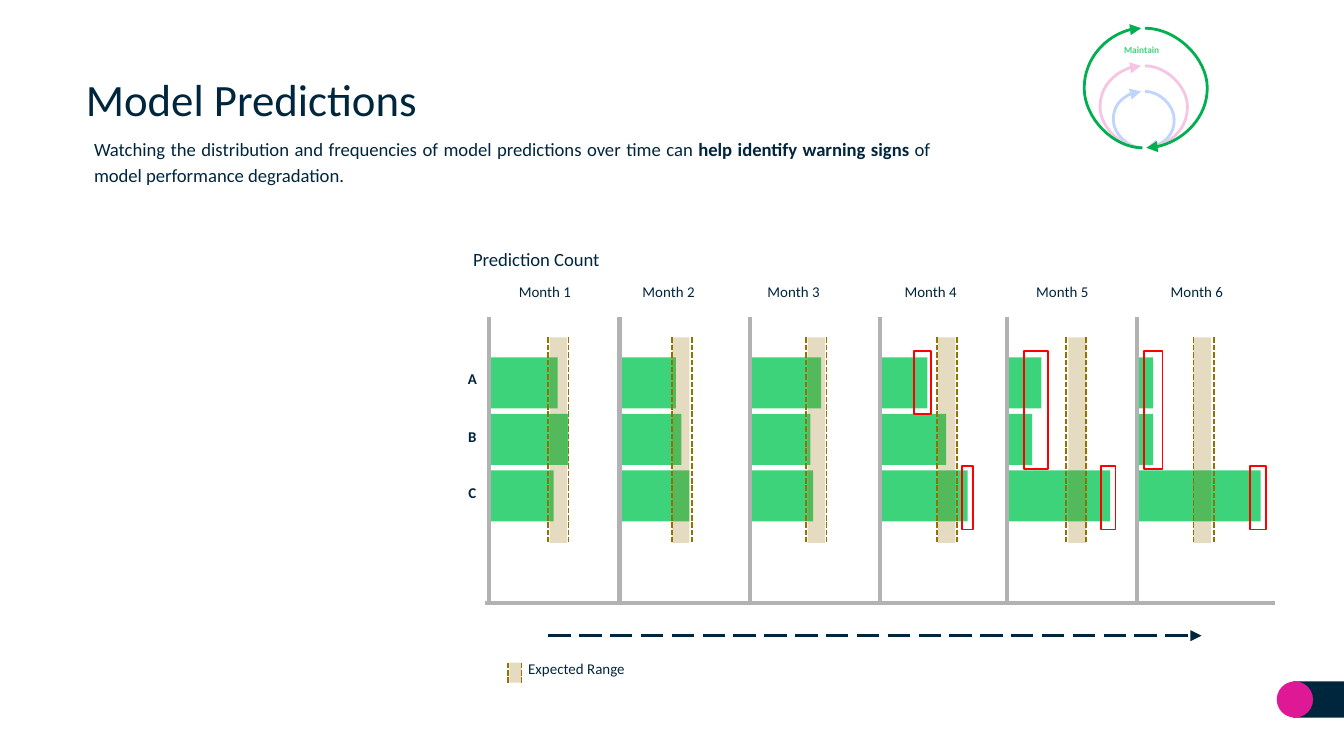
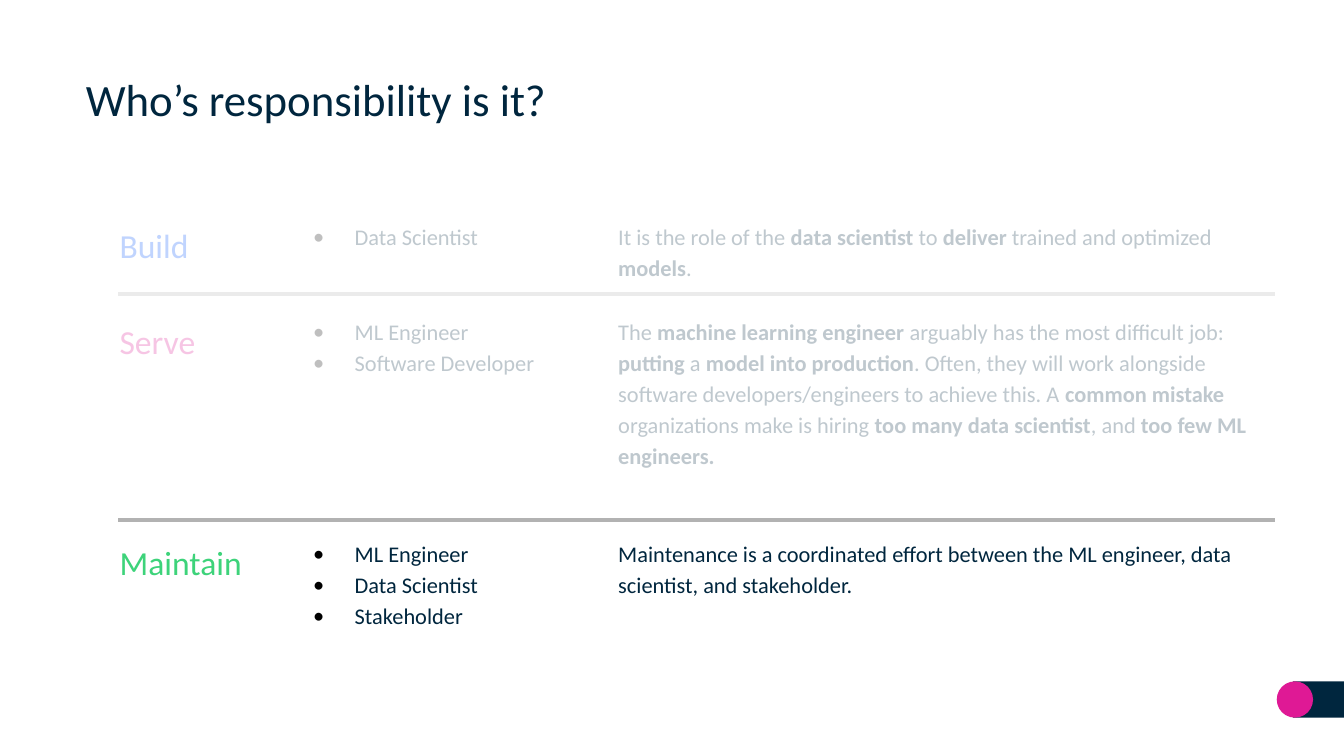
from typing import NamedTuple

from lxml.etree import SubElement as Sub
from pptx import Presentation
from pptx.dml.color import RGBColor as Rgb
from pptx.enum.dml import MSO_LINE as Dash
from pptx.enum.shapes import MSO_CONNECTOR as Link, MSO_SHAPE as Form
from pptx.enum.text import MSO_ANCHOR as Anchor, MSO_AUTO_SIZE as Fit, PP_ALIGN as Align
from pptx.oxml.ns import qn
from pptx.util import Pt

PX = 9144
WIDE = 1000 * PX
HIGH = WIDE * 9 // 16
FONT = "Calibri"
INK = {
    "navy": "00263E", "pink": "DF1995", "blue": "0654FE", "green": "3DD37A",
    "leaf": "00B050", "gray": "B2B2B2", "gold": "957104", "red": "FF0000",
    "white": "FFFFFF", "black": "000000",
}


class Box(NamedTuple):
    left: int
    top: int
    wide: int
    high: int


class Month(NamedTuple):
    axis: int
    start: int
    label: int
    low: int
    band: int
    bars: tuple[int, int, int]


class Loop(NamedTuple):
    top: int
    left: int
    right: int
    color: str


class Role(NamedTuple):
    top: int
    name: str
    color: str
    who: str
    what: str
    highs: tuple[int, int]


MONTHS = [
    Month(364, 365, 385, 408, 409, (50, 58, 47)),
    Month(461, 462, 477, 500, 500, (41, 45, 51)),
    Month(558, 558, 570, 600, 601, (53, 45, 47)),
    Month(655, 655, 672, 697, 698, (35, 49, 65)),
    Month(749, 749, 770, 793, 795, (26, 19, 77)),
    Month(846, 846, 870, 888, 888, (12, 12, 92)),
]
MARKS = [
    Box(716, 347, 8, 47), Box(680, 261, 13, 47), Box(762, 261, 18, 88),
    Box(819, 347, 11, 47), Box(851, 261, 14, 88), Box(930, 347, 12, 47),
]
LOOPS = [Loop(68, 22, 22, "blue"), Loop(49, 32, 32, "pink")]
OUTER = Loop(21, 44, 47, "leaf")
ROLES = [
    Role(162, "Build", "blue", "Data Scientist",
         "It is the role of the **data scientist **to **deliver** trained and optimized "
         "**models**.", (25, 48)),
    Role(233, "Serve", "pink", "ML Engineer\nSoftware Developer",
         "The** machine learning engineer **arguably has the most difficult job: "
         "**putting** a **model into production**. Often, they will work alongside "
         "software developers/engineers to achieve this. A **common mistake "
         "**organizations make is hiring **too many data scientist**, and"
         "** too few ML engineers.**", (48, 141)),
    Role(398, "Maintain", "green", "ML Engineer\nData Scientist\nStakeholder",
         "Maintenance is a coordinated effort between the ML engineer, data scientist, "
         "and stakeholder.", (72, 48)),
]


def tint(name: str) -> Rgb:
    return Rgb.from_string(INK[name])


def shape(slide, box: Box, fill: str = "", line: str = "", alpha: int = 100,
          form=Form.RECTANGLE) -> None:
    item = slide.shapes.add_shape(form, *(n * PX for n in box))
    item.shadow.inherit = False
    if fill:
        item.fill.solid()
        item.fill.fore_color.rgb = tint(fill)
        if alpha < 100:
            node = item.fill._xPr.find(".//" + qn("a:srgbClr"))
            Sub(node, qn("a:alpha"), val=str(alpha * 1000))
    else:
        item.fill.background()
    if line:
        item.line.color.rgb = tint(line)
        item.line.width = Pt(1)
    else:
        item.line.fill.background()


def line(slide, start: tuple[int, int], end: tuple[int, int], color: str = "gray",
         width: float = 2.25, dash=None, arrow: bool = False, kind=Link.STRAIGHT):
    item = slide.shapes.add_connector(kind, *(n * PX for n in start + end))
    item.line.color.rgb = tint(color)
    item.line.width = Pt(width)
    if dash:
        item.line.dash_style = dash
    if arrow:
        Sub(item.line._get_or_add_ln(), qn("a:tailEnd"), type="triangle")
    Sub(item._element.spPr, qn("a:effectLst"))
    return item


def bullet(para) -> None:
    props = para._p.get_or_add_pPr()
    props.set("marL", str(31 * PX))
    props.set("indent", str(-31 * PX))
    Sub(Sub(props, qn("a:buClr")), qn("a:srgbClr"), val=INK["black"])
    Sub(props, qn("a:buFont"), typeface=FONT)
    Sub(props, qn("a:buChar"), char="•")


def text(slide, box: Box, words: str, size: int = 12, color: str = "navy",
         bold: bool = False, align=Align.LEFT, inset: int = 1, space: float = 1.15,
         anchor=Anchor.TOP, fit=Fit.SHAPE_TO_FIT_TEXT, dots: bool = False) -> None:
    item = slide.shapes.add_textbox(*(n * PX for n in box))
    frame = item.text_frame
    frame.word_wrap = True
    frame.auto_size = fit
    frame.vertical_anchor = anchor
    frame.margin_left = frame.margin_right = inset * PX
    frame.margin_top = frame.margin_bottom = inset * PX
    for row, part in enumerate(words.split("\n")):
        para = frame.add_paragraph() if row else frame.paragraphs[0]
        para.alignment = align
        para.line_spacing = space
        if dots:
            bullet(para)
        for turn, piece in enumerate(part.split("**")):
            if piece:
                run = para.add_run()
                run.text = piece
                run.font.name = FONT
                run.font.size = Pt(size)
                run.font.bold = bold or turn % 2 == 1
                run.font.color.rgb = tint(color)


def page(deck, title: str):
    slide = deck.slides.add_slide(deck.slide_layouts[6])
    shape(slide, Box(962, 507, 38, 27), "navy")
    shape(slide, Box(950, 507, 27, 27), "pink", form=Form.OVAL)
    text(slide, Box(54, 46, 895, 55), title, size=24, inset=10, space=1.0,
         anchor=Anchor.MIDDLE, fit=Fit.NONE)
    return slide


def edges(slide, left: int, right: int, top: int, base: int) -> None:
    for x in (left, right):
        line(slide, (x, top), (x, base), "gold", 1, Dash.SQUARE_DOT)


def ring(slide, loop: Loop) -> None:
    for x, bend, turn in ((849, loop.left, 180), (852, loop.right, 0)):
        arc = line(slide, (x, loop.top), (x + 1, 110), loop.color, 1.5,
                   arrow=True, kind=Link.CURVE)
        props = arc._element.spPr
        if turn:
            props.find(qn("a:xfrm")).set("rot", str(turn * 60000))
        Sub(props.find(".//" + qn("a:avLst")), qn("a:gd"), name="adj1",
            fmla=f"val {bend * 100000}")


def badge(slide) -> None:
    for loop in LOOPS:
        ring(slide, loop)
    shape(slide, Box(802, 15, 100, 100), "white", alpha=75, form=Form.OVAL)
    ring(slide, OUTER)
    text(slide, Box(813, 31, 73, 12), "Maintain", size=5, color="green", bold=True,
         align=Align.CENTER)


def chart(slide) -> None:
    for month in MONTHS:
        for row, wide in enumerate(month.bars):
            shape(slide, Box(month.start, 266 + 42 * row, wide, 38), "green")
    for top, name in zip((272, 315, 357), "ABC"):
        text(slide, Box(345, top, 13, 17), name, size=8, bold=True, align=Align.CENTER)
    for count, month in enumerate(MONTHS, 1):
        text(slide, Box(month.label, 207, 49, 17), f"Month {count}", size=8)
        line(slide, (month.axis, 236), (month.axis, 449))
        edges(slide, month.low, month.low + 15, 251, 403)
        shape(slide, Box(month.band, 251, 13, 153), "gold", alpha=25)
    line(slide, (949, 449), (361, 449))
    text(slide, Box(351, 181, 148, 21), "Prediction Count", size=10)
    line(slide, (408, 473), (894, 473), "navy", 1.5, Dash.LONG_DASH, arrow=True)
    for mark in MARKS:
        shape(slide, mark, line="red")
    text(slide, Box(392, 488, 99, 18), "Expected Range", size=8)
    edges(slide, 378, 388, 493, 508)
    shape(slide, Box(379, 493, 9, 15), "gold", alpha=25)


def models(deck) -> None:
    slide = page(deck, "Model Predictions")
    text(slide, Box(69, 99, 624, 41),
         "Watching the distribution and frequencies of model predictions over time can "
         "**help identify warning signs **of model performance degradation.",
         size=10, align=Align.JUSTIFY)
    chart(slide)
    badge(slide)


def roles(deck) -> None:
    slide = page(deck, "Who’s responsibility is it?")
    for role in ROLES:
        text(slide, Box(88, role.top, 122, 37), role.name, size=18, color=role.color,
             align=Align.JUSTIFY)
        text(slide, Box(232, role.top, 206, role.highs[0]), role.who,
             align=Align.JUSTIFY, dots=True)
        text(slide, Box(459, role.top, 488, role.highs[1]), role.what)
    for y in (219, 387):
        line(slide, (88, y), (949, y))
    shape(slide, Box(60, 148, 913, 225), "white", alpha=75)


def main() -> None:
    deck = Presentation()
    deck.slide_width = WIDE
    deck.slide_height = HIGH
    models(deck)
    roles(deck)
    deck.save("out.pptx")


if __name__ == "__main__":
    main()
